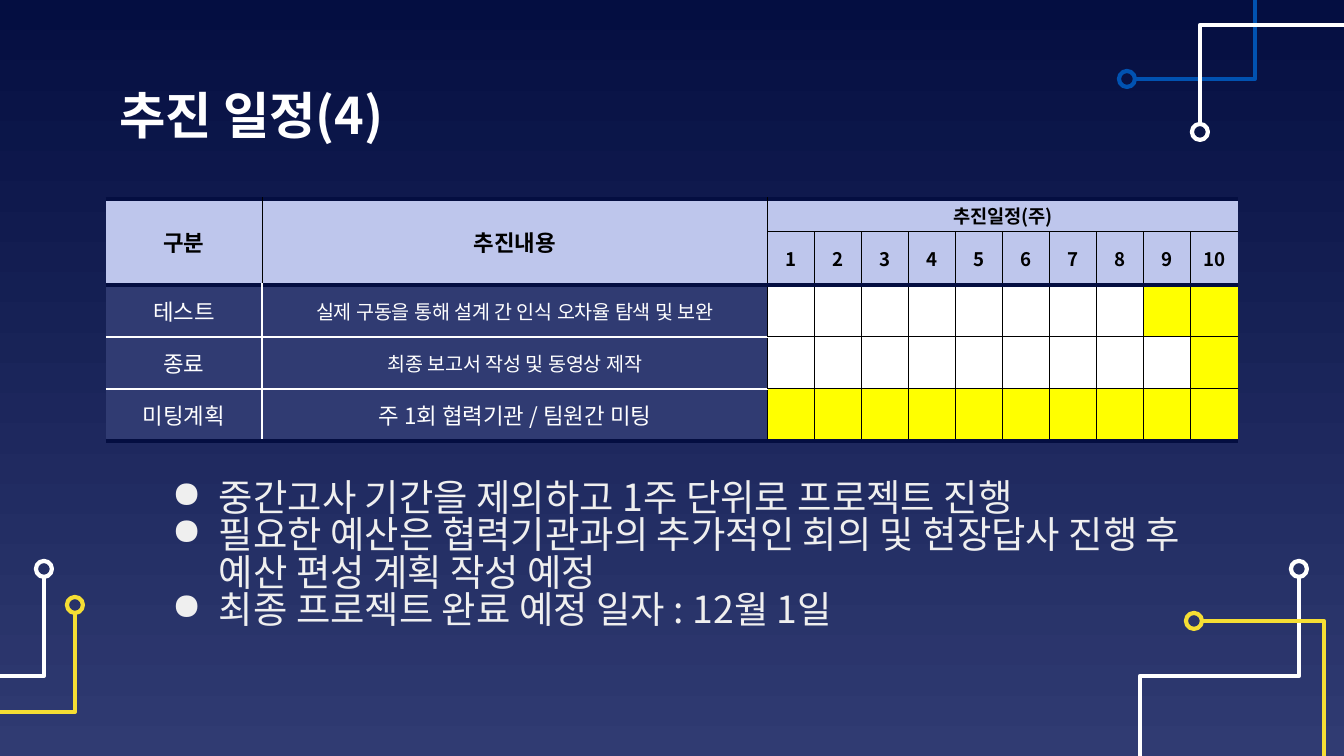
from lxml import etree
from pptx import Presentation
from pptx.dml.color import RGBColor
from pptx.enum.shapes import MSO_SHAPE
from pptx.enum.text import MSO_ANCHOR, MSO_AUTO_SIZE, PP_ALIGN
from pptx.oxml.ns import qn
from pptx.util import Emu, Pt

OVAL = MSO_SHAPE.OVAL
MIDDLE = MSO_ANCHOR.MIDDLE
NO_FIT = MSO_AUTO_SIZE.NONE
LEFT, CENTER = PP_ALIGN.LEFT, PP_ALIGN.CENTER

SCALE = 9144000 / 1344
SLIDE_WIDTH, SLIDE_HEIGHT = 1344, 756
FONT = "Noto Sans CJK KR"
NAVY, INDIGO, LAVENDER = "040E41", "303B72", "BEC6EC"
WHITE, BLACK, BLUE, GOLD = "FFFFFF", "000000", "0152B1", "F5DE34"
ACTIVE, PALE = "FFFF00", "EFEFEF"

RING_RADIUS = 8
CIRCUITS = [
    ((1299, 569), [(0, 8), (0, 107), (-159, 107), (-159, 187)], WHITE),
    ((1127, 79), [(8, 0), (128, 0), (128, -79)], BLUE),
    ((1200, 132), [(0, -8), (0, -107), (144, -107)], WHITE),
    ((1194, 621), [(8, 0), (130, 0), (130, 135)], GOLD),
    ((44, 569), [(0, 8), (0, 107), (-44, 107)], WHITE),
    ((75, 605), [(0, 8), (0, 107), (-75, 107)], GOLD),
]

WEEKS = 10
LABEL_WIDTHS = [156, 506]
ROW_HEIGHTS = [31, 53, 52, 52, 52]
TASKS = [
    ("테스트", "실제 구동을 통해 설계 간 인식 오차율 탐색 및 보완", 10.5, 9),
    ("종료", "최종 보고서 작성 및 동영상 제작", 10.5, 10),
    ("미팅계획", "주 1회 협력기관 / 팀원간 미팅", 12, 1),
]
NOTES = [
    "중간고사 기간을 제외하고 1주 단위로 프로젝트 진행",
    "필요한 예산은 협력기관과의 추가적인 회의 및 현장답사 진행 후 예산 편성 계획 작성 예정",
    "최종 프로젝트 완료 예정 일자 : 12월 1일",
]


def px(length):
    return Emu(round(length * SCALE))


def rgb(value):
    return RGBColor.from_string(value)


def format_runs(paragraph, size, color, bold=False):
    for run in paragraph.runs:
        run.font.size = Pt(size)
        run.font.name = FONT
        run.font.bold = bold
        run.font.color.rgb = rgb(color)
        east_asian = etree.SubElement(run.font._element, qn("a:ea"))
        east_asian.set("typeface", FONT)


def paint_background(slide):
    fill = slide.background.fill
    fill.gradient()
    fill.gradient_angle = 270
    for stop, color in zip(fill.gradient_stops, (NAVY, INDIGO)):
        stop.color.rgb = rgb(color)


def draw_circuit(slide, center, trace, color):
    x, y = center
    builder = slide.shapes.build_freeform(*trace[0], scale=SCALE)
    builder.add_line_segments(trace[1:], close=False)
    wire = builder.convert_to_shape(px(x), px(y))
    ring = slide.shapes.add_shape(
        OVAL, px(x - RING_RADIUS), px(y - RING_RADIUS),
        px(2 * RING_RADIUS), px(2 * RING_RADIUS))
    for part in (wire, ring):
        part.shadow.inherit = False
        part.fill.background()
        part.line.color.rgb = rgb(color)
        part.line.width = Pt(2.25)


def place_title(slide, left, top, width, height):
    title = slide.shapes.title
    title.left, title.top = px(left), px(top)
    title.width, title.height = px(width), px(height)
    frame = title.text_frame
    frame.text = "추진 일정(4)"
    frame.auto_size = NO_FIT
    frame.vertical_anchor = MIDDLE
    frame.margin_left = frame.margin_right = px(13)
    frame.margin_top = frame.margin_bottom = px(13)
    frame.paragraphs[0].alignment = LEFT
    format_runs(frame.paragraphs[0], 27, WHITE, True)


def horizontal_rule(edge, column):
    if edge in (0, 2, len(ROW_HEIGHTS)) or (edge == 1 and column < 2):
        return NAVY, 2.25
    return (WHITE, 1) if column < 2 else (BLACK, 0.56)


def vertical_rule(edge, row):
    if edge in (0, WEEKS + 2) or (row == 0 and edge > 2):
        return None
    return (WHITE, 1) if edge == 1 and row > 1 else (BLACK, 0.56)


def set_borders(cell, row, column):
    properties = cell._tc.get_or_add_tcPr()
    rules = {
        "a:lnL": vertical_rule(column, row),
        "a:lnR": vertical_rule(column + 1, row),
        "a:lnT": horizontal_rule(row, column),
        "a:lnB": horizontal_rule(row + 1, column),
    }
    for tag, rule in rules.items():
        line = etree.SubElement(properties, qn(tag))
        if rule is None:
            etree.SubElement(line, qn("a:noFill"))
            continue
        color, width = rule
        line.set("w", str(Pt(width)))
        solid = etree.SubElement(line, qn("a:solidFill"))
        etree.SubElement(solid, qn("a:srgbClr")).set("val", color)


def cell_fill(row, column):
    if row < 2:
        return LAVENDER
    if column < 2:
        return INDIGO
    return ACTIVE if column - 1 >= TASKS[row - 2][3] else WHITE


def write_cell(cell, text, size, color, bold=False):
    cell.text_frame.text = text
    paragraph = cell.text_frame.paragraphs[0]
    paragraph.alignment = CENTER
    format_runs(paragraph, size, color, bold)


def build_schedule(slide, left, top, week_width):
    widths = LABEL_WIDTHS + [week_width] * WEEKS
    table = slide.shapes.add_table(
        len(ROW_HEIGHTS), len(widths), px(left), px(top),
        px(sum(widths)), px(sum(ROW_HEIGHTS))).table
    table.first_row = table.horz_banding = False
    for column, width in zip(table.columns, widths):
        column.width = px(width)
    for row, height in zip(table.rows, ROW_HEIGHTS):
        row.height = px(height)
    for row in range(len(ROW_HEIGHTS)):
        for column in range(len(widths)):
            cell = table.cell(row, column)
            set_borders(cell, row, column)
            cell.fill.solid()
            cell.fill.fore_color.rgb = rgb(cell_fill(row, column))
            cell.vertical_anchor = MIDDLE
            cell.margin_left = cell.margin_right = px(8)
            cell.margin_top = cell.margin_bottom = px(3)
    for column, heading in enumerate(("구분", "추진내용")):
        table.cell(0, column).merge(table.cell(1, column))
        write_cell(table.cell(0, column), heading, 12, BLACK, True)
    table.cell(0, 2).merge(table.cell(0, WEEKS + 1))
    write_cell(table.cell(0, 2), "추진일정(주)", 10, BLACK, True)
    for week in range(1, WEEKS + 1):
        write_cell(table.cell(1, week + 1), str(week), 10, BLACK, True)
    for row, (stage, content, size, _) in enumerate(TASKS, 2):
        write_cell(table.cell(row, 0), stage, 12, WHITE)
        write_cell(table.cell(row, 1), content, size, WHITE)


def add_notes(slide, left, top, width, height):
    frame = slide.shapes.add_textbox(
        px(left), px(top), px(width), px(height)).text_frame
    frame.word_wrap = True
    frame.vertical_anchor = MIDDLE
    frame.margin_left = frame.margin_right = px(13)
    frame.margin_top = frame.margin_bottom = px(13)
    frame.text = "\n".join(NOTES)
    for paragraph in frame.paragraphs:
        paragraph.line_spacing = 0.83
        format_runs(paragraph, 20, PALE)
        properties = paragraph._p.get_or_add_pPr()
        properties.set("marL", str(px(67)))
        properties.set("indent", str(px(-47)))
        bullet_color = etree.SubElement(properties, qn("a:buClr"))
        etree.SubElement(bullet_color, qn("a:srgbClr")).set("val", PALE)
        etree.SubElement(properties, qn("a:buChar")).set("char", "●")


def main():
    deck = Presentation()
    deck.slide_width, deck.slide_height = px(SLIDE_WIDTH), px(SLIDE_HEIGHT)
    slide = deck.slides.add_slide(deck.slide_layouts[5])
    paint_background(slide)
    for center, trace, color in CIRCUITS:
        draw_circuit(slide, center, trace, color)
    place_title(slide, 106, 79, 1133, 70)
    build_schedule(slide, 106, 199, 47)
    add_notes(slide, 139, 453, 1066, 207)
    deck.save("out.pptx")


if __name__ == "__main__":
    main()
